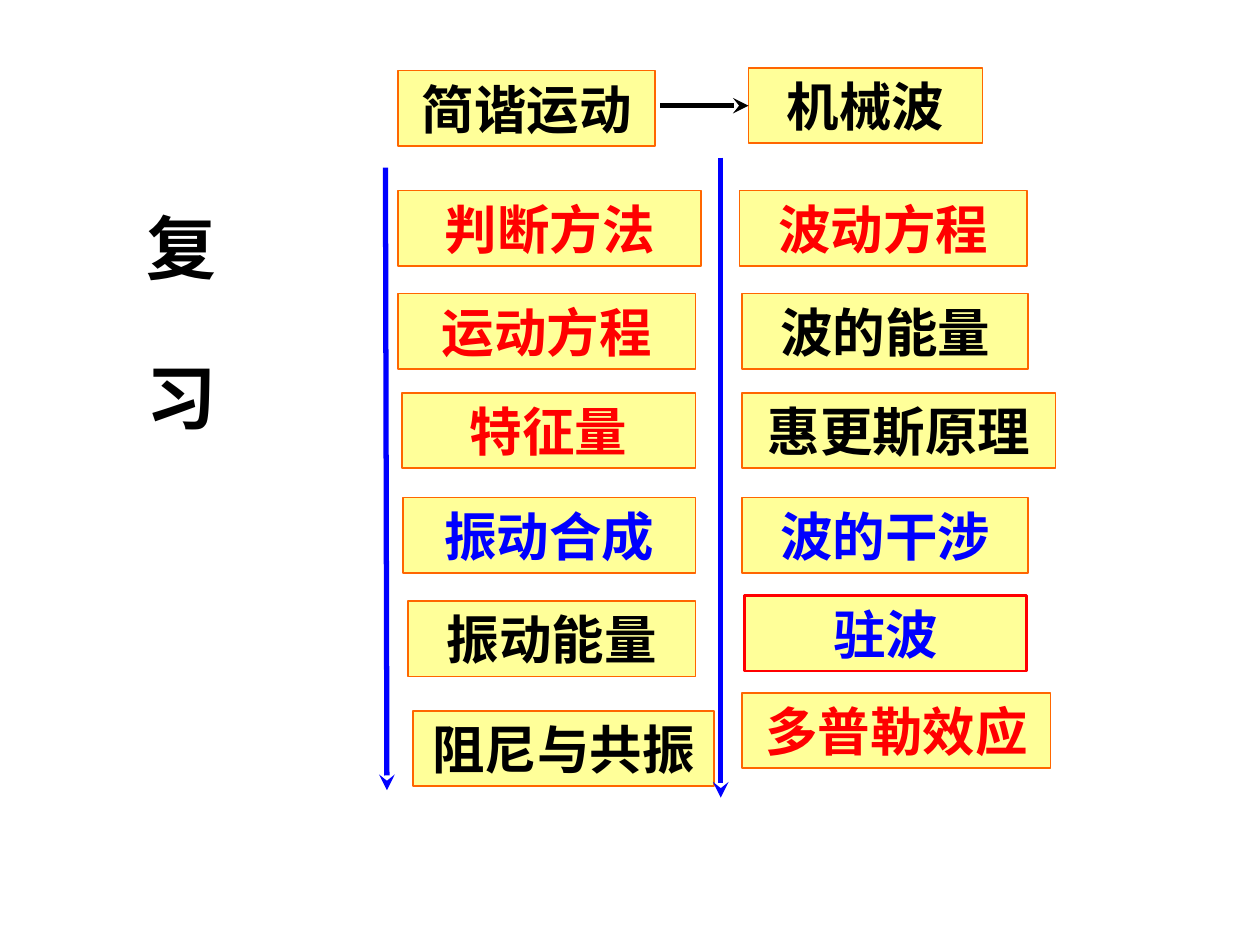
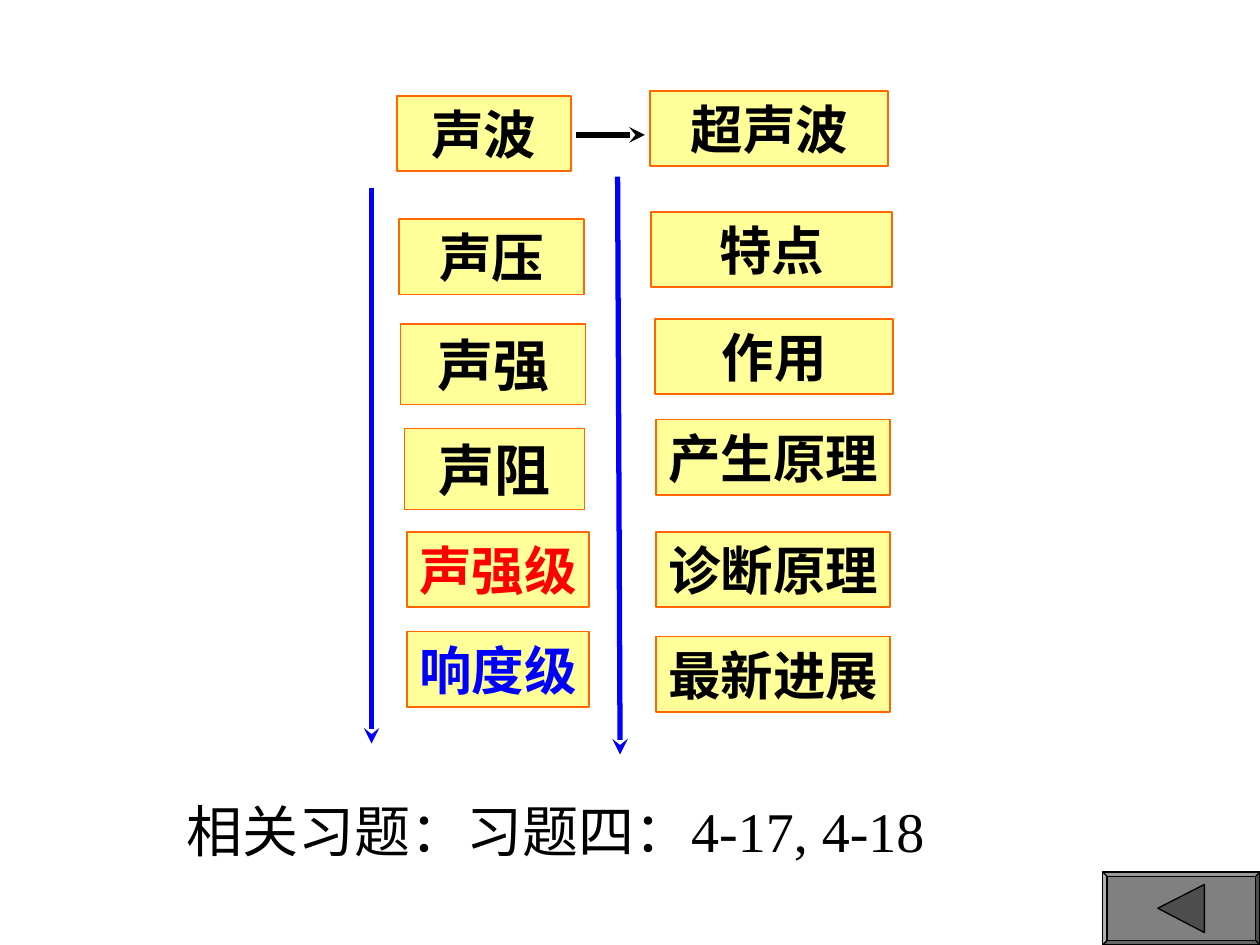
from lxml.etree import SubElement
from pptx import Presentation
from pptx.dml.color import RGBColor
from pptx.enum.shapes import MSO_CONNECTOR as Link, MSO_SHAPE as Preset
from pptx.enum.text import MSO_ANCHOR as Anchor, PP_ALIGN as Align
from pptx.oxml.ns import qn
from pptx.util import Cm, Pt

BLACK, RED, BLUE = "000000", "FF0000", "0000FF"
YELLOW, ORANGE, GREY, DARK_GREY = "FFFF99", "FF6600", "808080", "4D4D4D"


def rgb(code):
    """Turn a hex string into a colour."""
    return RGBColor.from_string(code)


def write(paragraph, text, size=30, color=BLACK, bold=True, align=Align.CENTER, spacing=0):
    """Add a run of text, with optional letter spacing in points."""
    paragraph.alignment = align
    run = paragraph.add_run()
    run.text = text
    run.font.name = "Times New Roman"
    run.font.size = Pt(size)
    run.font.bold = bold
    run.font.color.rgb = rgb(color)
    if spacing:
        run._r.get_or_add_rPr().set("spc", str(spacing * 100))


class Review:
    """Style and current slide of the review."""

    def __init__(self, deck):
        """Keep the presentation."""
        self.deck = deck
        self.slide = None

    def new_slide(self):
        """Start a blank slide."""
        self.slide = self.deck.slides.add_slide(self.deck.slide_layouts[6])

    def paint(self, shape, fill, line, width):
        """Set fill and outline without a shadow."""
        shape.shadow.inherit = False
        shape.fill.solid()
        shape.fill.fore_color.rgb = rgb(fill)
        shape.line.color.rgb = rgb(line)
        shape.line.width = Pt(width)

    def topic(self, text, left, top, width, color=BLACK, height=1.52, size=30,
              border=ORANGE, border_width=1):
        """Draw a yellow topic box."""
        box = self.slide.shapes.add_shape(
            Preset.RECTANGLE, Cm(left), Cm(top), Cm(width), Cm(height))
        self.paint(box, YELLOW, border, border_width)
        frame = box.text_frame
        frame.word_wrap = False
        frame.vertical_anchor = Anchor.MIDDLE
        write(frame.paragraphs[0], text, size=size, color=color)
        return box

    def topics(self, rows):
        """Draw topic boxes from (text, left, top, width, color) rows."""
        for row in rows:
            self.topic(*row)

    def arrow(self, x1, y1, x2, y2, color=BLUE, target=None):
        """Draw an arrow, joined to the left side of a target if given."""
        arrow = self.slide.shapes.add_connector(
            Link.STRAIGHT, Cm(x1), Cm(y1), Cm(x2), Cm(y2))
        arrow.line.color.rgb = rgb(color)
        arrow.line.width = Pt(3)
        SubElement(arrow.line._get_or_add_ln(), qn("a:tailEnd"), type="stealth")
        SubElement(arrow._element.spPr, qn("a:effectLst"))
        if target is not None:
            arrow.end_connect(target, 1)

    def text_box(self, left, top, width, height):
        """Add a wrapping text box and return its frame."""
        frame = self.slide.shapes.add_textbox(
            Cm(left), Cm(top), Cm(width), Cm(height)).text_frame
        frame.word_wrap = True
        return frame

    def vertical_title(self, first, second):
        """Write two spaced characters from top to bottom."""
        frame = self.text_box(2.51, 4.04, 2.18, 9.19)
        frame._txBody.bodyPr.set("vert", "eaVert")
        frame.vertical_anchor = Anchor.MIDDLE
        frame.margin_left = frame.margin_right = Cm(0.13)
        write(frame.paragraphs[0], first, size=40, spacing=46)
        write(frame.paragraphs[0], second, size=40)

    def back_button(self):
        """Draw a bevelled button with a triangle pointing back."""
        button = self.slide.shapes.add_shape(
            Preset.BEVEL, Cm(22.23), Cm(17.58), Cm(3.17), Cm(1.47))
        button.adjustments[0] = 0.06
        self.paint(button, GREY, BLACK, 0.75)
        outline = self.slide.shapes.build_freeform(Cm(23.34), Cm(18.31))
        outline.add_line_segments([(Cm(24.28), Cm(17.83)), (Cm(24.28), Cm(18.8))])
        self.paint(outline.convert_to_shape(), DARK_GREY, BLACK, 0.75)


def motion_and_waves(review):
    """Build the slide on harmonic motion and mechanical waves."""
    review.new_slide()
    review.topic("简谐运动", 8.03, 1.42, 5.18)
    waves = review.topic("机械波", 15.09, 1.37, 4.72)
    review.topics([
        ("判断方法", 8.03, 3.84, 6.1, RED),
        ("运动方程", 8.03, 5.92, 5.99, RED),
        ("特征量", 8.1, 7.92, 5.92, RED),
        ("振动合成", 8.13, 10.03, 5.89, BLUE),
        ("振动能量", 8.23, 12.12, 5.79),
        ("阻尼与共振", 8.33, 14.33, 6.07),
        ("波动方程", 14.91, 3.84, 5.79, RED),
        ("波的能量", 14.96, 5.92, 5.77),
        ("惠更斯原理", 14.96, 7.92, 6.32),
        ("波的干涉", 14.96, 10.03, 5.77, BLUE),
        ("多普勒效应", 14.96, 13.97, 6.22, RED),
    ])
    review.topic("驻波", 15.01, 12.01, 5.69, BLUE, border=RED, border_width=1.5)
    review.arrow(13.31, 2.13, 15.09, 2.13, BLACK, target=waves)
    review.arrow(7.77, 3.38, 7.8, 15.93)
    review.arrow(14.53, 3.18, 14.53, 16.08)
    review.vertical_title("复", "习")


def sound_and_ultrasound(review):
    """Build the slide on sound and ultrasound."""
    review.new_slide()
    review.topics([
        ("声波", 8, 1.93, 3.51),
        ("超声波", 13.11, 1.83, 4.8),
        ("声压", 8.05, 4.42, 3.73),
        ("声强级", 8.2, 10.72, 3.68, RED),
        ("响度级", 8.2, 12.73, 3.68, BLUE),
        ("特点", 13.13, 4.27, 4.85),
        ("作用", 13.21, 6.43, 4.8),
        ("产生原理", 13.23, 8.46, 4.72),
        ("诊断原理", 13.23, 10.72, 4.72),
        ("最新进展", 13.23, 12.83, 4.72),
    ])
    for text, left, top, width in [("声强", 8.08, 6.53, 3.73), ("声阻", 8.15, 8.64, 3.63)]:
        review.topic(text, left, top, width, height=1.63, size=32, border_width=0.75)
    review.arrow(11.61, 2.72, 13, 2.72, BLACK)
    review.arrow(7.49, 3.78, 7.49, 14.99)
    review.arrow(12.45, 3.56, 12.5, 15.21)
    review.back_button()
    exercises = review.text_box(3.51, 15.93, 15.39, 2.97)
    write(exercises.paragraphs[0], "相关习题：习题四：4-17, 4-18", size=32,
          bold=False, align=Align.JUSTIFY)


def main():
    """Build and save the presentation."""
    deck = Presentation()
    deck.slide_width, deck.slide_height = Cm(25.4), Cm(19.05)
    review = Review(deck)
    motion_and_waves(review)
    sound_and_ultrasound(review)
    deck.save("out.pptx")


if __name__ == "__main__":
    main()
